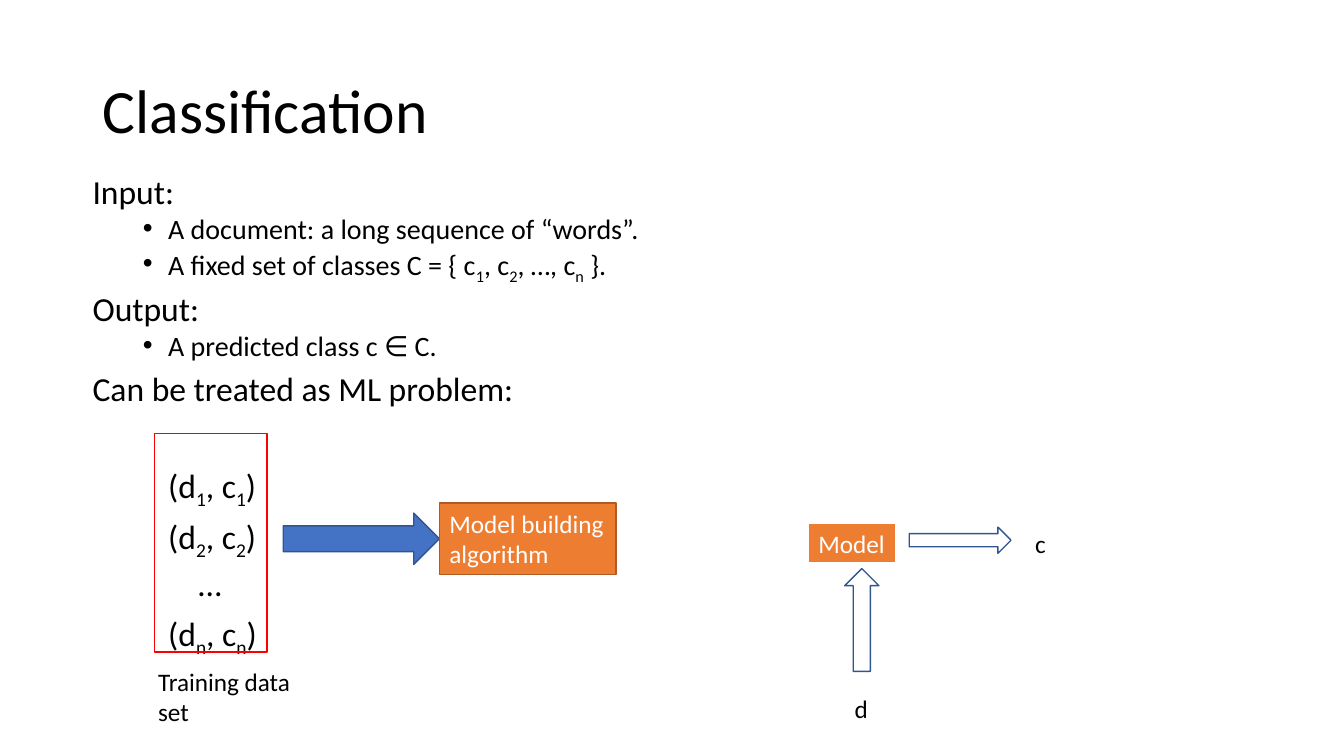
"""Build the Classification slide with its training and prediction diagram."""
from lxml.etree import SubElement
from pptx import Presentation
from pptx.dml.color import RGBColor
from pptx.enum.shapes import MSO_SHAPE
from pptx.enum.text import MSO_ANCHOR, MSO_AUTO_SIZE, PP_ALIGN
from pptx.oxml.ns import qn
from pptx.util import Pt


def rgb(value):
    return RGBColor.from_string(value)


def write(tf, lines, size, color, spacing=None):
    tf.text = "\n".join(lines)
    for p in tf.paragraphs:
        parts = p.text.split("|")
        p.text = ""
        p.alignment = PP_ALIGN.LEFT
        p.line_spacing = spacing
        for i, part in enumerate(parts):
            r = p.add_run()
            r.text = part
            r.font.size = Pt(size)
            r.font.name = "Calibri"
            r.font.color.rgb = rgb(color)
            if i % 2:
                r._r.get_or_add_rPr().set("baseline", "-25000")


prs = Presentation()
prs.slide_width, prs.slide_height = Pt(960), Pt(540)
s = prs.slides.add_slide(prs.slide_layouts[6])

tf = s.shapes.add_textbox(Pt(66.24), Pt(28.8), Pt(828), Pt(104.4)).text_frame
tf.word_wrap = True
tf.vertical_anchor = MSO_ANCHOR.MIDDLE
write(tf, ["Classification"], 44, "000000", 0.9)

body = [
    ("Input:", 24, 0, 0),
    ("A document: a long sequence of “words”.", 20, 54, 5),
    ("A fixed set of classes C = { c|1|, c|2|, …, c|n| }.", 20, 54, 5),
    ("Output:", 24, 0, 10),
    ("A predicted class c ∈ C.", 20, 54, 5),
    ("Can be treated as ML problem:", 24, 0, 10),
    ("(d|1|, c|1|)", 24, 54, 43.4),
    ("(d|2|, c|2|)", 24, 54, 10),
    ("…", 24, 75.6, 10),
    ("(d|n|, c|n|)", 24, 54, 10),
]
tf = s.shapes.add_textbox(Pt(59.04), Pt(123.84), Pt(828), Pt(342.72)).text_frame
tf.word_wrap = True
write(tf, [row[0] for row in body], 24, "000000", 0.8)
for p, (text, size, indent, before) in zip(tf.paragraphs, body):
    p.space_before = Pt(before)
    pPr = p._p.get_or_add_pPr()
    pPr.set("marL", str(Pt(indent)))
    if size == 20:
        pPr.set("indent", str(-Pt(18)))
        SubElement(pPr, qn("a:buFont")).set("typeface", "Arial")
        SubElement(pPr, qn("a:buChar")).set("char", "•")
    for r in p.runs:
        r.font.size = Pt(size)

RECT, RIGHT, UP = MSO_SHAPE.RECTANGLE, MSO_SHAPE.RIGHT_ARROW, MSO_SHAPE.UP_ARROW
diagram = [
    (RECT, 110.16, 309.6, 80.64, 156.24, None, "FF0000", 1, []),
    (RIGHT, 202.32, 366.48, 111.6, 36.72, "4472C4", "325491", 1, []),
    (RECT, 313.92, 359.28, 126, 51.12, "ED7D31", "AF5C24", 1,
     ["Model building", "algorithm"]),
    (RECT, 577.44, 373.68, 62.64, 28.8, "ED7D31", "FFFFFF", 1.5, ["Model"]),
    (UP, 603.36, 406.08, 24.48, 73.44, None, "325491", 1, []),
    (RIGHT, 649.44, 376.56, 72.72, 18.72, None, "325491", 1, []),
]
for shape, x, y, w, h, fill, line, width, lines in diagram:
    sp = s.shapes.add_shape(shape, Pt(x), Pt(y), Pt(w), Pt(h))
    sp.shadow.inherit = False
    if fill:
        sp.fill.solid()
        sp.fill.fore_color.rgb = rgb(fill)
    else:
        sp.fill.background()
    sp.line.color.rgb = rgb(line)
    sp.line.width = Pt(width)
    if lines:
        tf = sp.text_frame
        tf.word_wrap = False
        tf.auto_size = MSO_AUTO_SIZE.SHAPE_TO_FIT_TEXT
        tf.vertical_anchor = MSO_ANCHOR.TOP
        write(tf, lines, 18, "FFFFFF")

labels = [
    (105.84, 472.32, 110.16, 51.12, ["Training data", "set"]),
    (603.36, 491.76, 24.48, 28.8, ["d"]),
    (732.24, 373.68, 22.32, 28.8, ["c"]),
]
for x, y, w, h, lines in labels:
    tf = s.shapes.add_textbox(Pt(x), Pt(y), Pt(w), Pt(h)).text_frame
    tf.word_wrap = False
    tf.auto_size = MSO_AUTO_SIZE.SHAPE_TO_FIT_TEXT
    write(tf, lines, 18, "000000")

prs.save("out.pptx")
